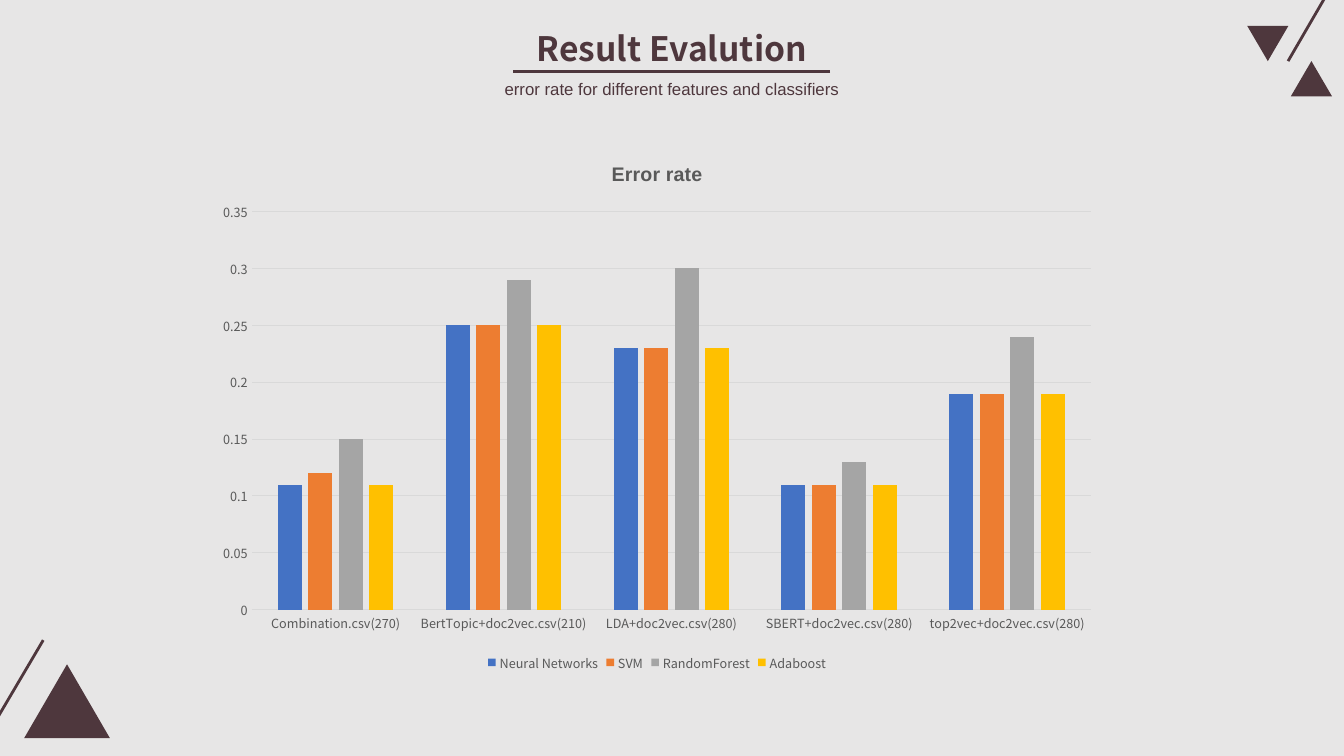
from dataclasses import dataclass
from pptx import Presentation
from pptx import util as u
from pptx.chart.data import CategoryChartData
from pptx.dml.color import RGBColor
from pptx.enum import chart as charts, shapes, text
from pptx.oxml.ns import qn
from lxml import etree


@dataclass
class Theme:
    background: RGBColor = RGBColor.from_string("E7E6E6")
    accent: RGBColor = RGBColor.from_string("4E373D")
    label: RGBColor = RGBColor.from_string("595959")
    grid: RGBColor = RGBColor.from_string("D9D9D9")
    series: tuple = ("4472C4", "ED7D31", "A5A5A5", "FFC000")
    heading_font: str = "Noto Sans CJK SC"
    body_font: str = "Arial"
    heading_size: int = 24
    subtitle_size: int = 12
    chart_title_size: int = 14
    chart_size: int = 10
    label_size: int = 9
    line_width: float = 2
    grid_width: float = 0.75


def style_font(font, name, size, color, bold=False):
    font.name = name
    font.size = u.Pt(size)
    font.color.rgb = color
    font.bold = bold


theme = Theme()
presentation = Presentation()
presentation.slide_width = u.Cm(33.87)
presentation.slide_height = u.Cm(19.05)
slide = presentation.slides.add_slide(presentation.slide_layouts[6])
slide.background.fill.solid()
slide.background.fill.fore_color.rgb = theme.background

triangles = [
    (0.61, 16.74, 2.16, 1.86, 0),
    (31.43, 0.65, 1.04, 0.89, 180),
    (32.53, 1.54, 1.04, 0.89, 0),
]
for left, top, width, height, rotation in triangles:
    triangle = slide.shapes.add_shape(
        shapes.MSO_SHAPE.ISOSCELES_TRIANGLE,
        u.Cm(left), u.Cm(top), u.Cm(width), u.Cm(height))
    triangle.rotation = rotation
    triangle.shadow.inherit = False
    triangle.fill.solid()
    triangle.fill.fore_color.rgb = theme.accent
    triangle.line.fill.background()

lines = [
    (1.09, 16.13, -0.36, 18.59),
    (33.5, -0.25, 32.46, 1.54),
    (20.92, 1.8, 12.93, 1.8),
]
for ends in lines:
    connector = slide.shapes.add_connector(
        shapes.MSO_CONNECTOR.STRAIGHT, *[u.Cm(value) for value in ends])
    connector.line.color.rgb = theme.accent
    connector.line.width = u.Pt(theme.line_width)
    etree.SubElement(connector._element.spPr, qn("a:effectLst"))

headings = [
    ("Result Evalution", (12.93, 0.58, 8, 1.27),
     theme.heading_font, theme.heading_size, True, 1),
    ("error rate for different features and classifiers", (12.02, 1.7, 9.83, 1.57),
     theme.body_font, theme.subtitle_size, False, 1.3),
]
for wording, box, font_name, size, bold, spacing in headings:
    text_box = slide.shapes.add_textbox(*[u.Cm(value) for value in box])
    text_box.text_frame.word_wrap = True
    paragraph = text_box.text_frame.paragraphs[0]
    paragraph.text = wording
    paragraph.alignment = text.PP_ALIGN.CENTER
    paragraph.line_spacing = float(spacing)
    style_font(paragraph.font, font_name, size, theme.accent, bold)

error_rates = CategoryChartData()
error_rates.categories = [
    "Combination.csv(270)", "BertTopic+doc2vec.csv(210)", "LDA+doc2vec.csv(280)",
    "SBERT+doc2vec.csv(280)", "top2vec+doc2vec.csv(280)",
]
error_rates.add_series("Neural Networks", (0.11, 0.25, 0.23, 0.11, 0.19))
error_rates.add_series("SVM", (0.12, 0.25, 0.23, 0.11, 0.19))
error_rates.add_series("RandomForest", (0.15, 0.29, 0.3, 0.13, 0.24))
error_rates.add_series("Adaboost", (0.11, 0.25, 0.23, 0.11, 0.19))

chart = slide.shapes.add_chart(
    charts.XL_CHART_TYPE.COLUMN_CLUSTERED,
    u.Cm(5.17), u.Cm(3.58), u.Cm(22.78), u.Cm(13.44), error_rates).chart
style_font(chart.font, theme.heading_font, theme.chart_size, theme.label)

chart.has_title = True
chart.chart_title.include_in_layout = False
title_paragraph = chart.chart_title.text_frame.paragraphs[0]
title_paragraph.text = "Error rate"
style_font(title_paragraph.font, theme.body_font, theme.chart_title_size, theme.label, True)

chart.has_legend = True
chart.legend.position = charts.XL_LEGEND_POSITION.BOTTOM
chart.legend.include_in_layout = False
style_font(chart.legend.font, theme.heading_font, theme.label_size, theme.label)

plot = chart.plots[0]
plot.vary_by_categories = False
plot.gap_width = 219
plot.overlap = -27
for series, color in zip(plot.series, theme.series):
    series.format.fill.solid()
    series.format.fill.fore_color.rgb = RGBColor.from_string(color)

for axis in (chart.category_axis, chart.value_axis):
    axis.major_tick_mark = charts.XL_TICK_MARK.NONE
    axis.minor_tick_mark = charts.XL_TICK_MARK.NONE
    style_font(axis.tick_labels.font, theme.heading_font, theme.label_size, theme.label)

chart.value_axis.minimum_scale = 0
chart.value_axis.maximum_scale = 0.35
chart.value_axis.major_unit = 0.05
chart.value_axis.has_major_gridlines = True
chart.value_axis.format.line.fill.background()
for line in (chart.category_axis.format.line, chart.value_axis.major_gridlines.format.line):
    line.color.rgb = theme.grid
    line.width = u.Pt(theme.grid_width)

presentation.save("out.pptx")
